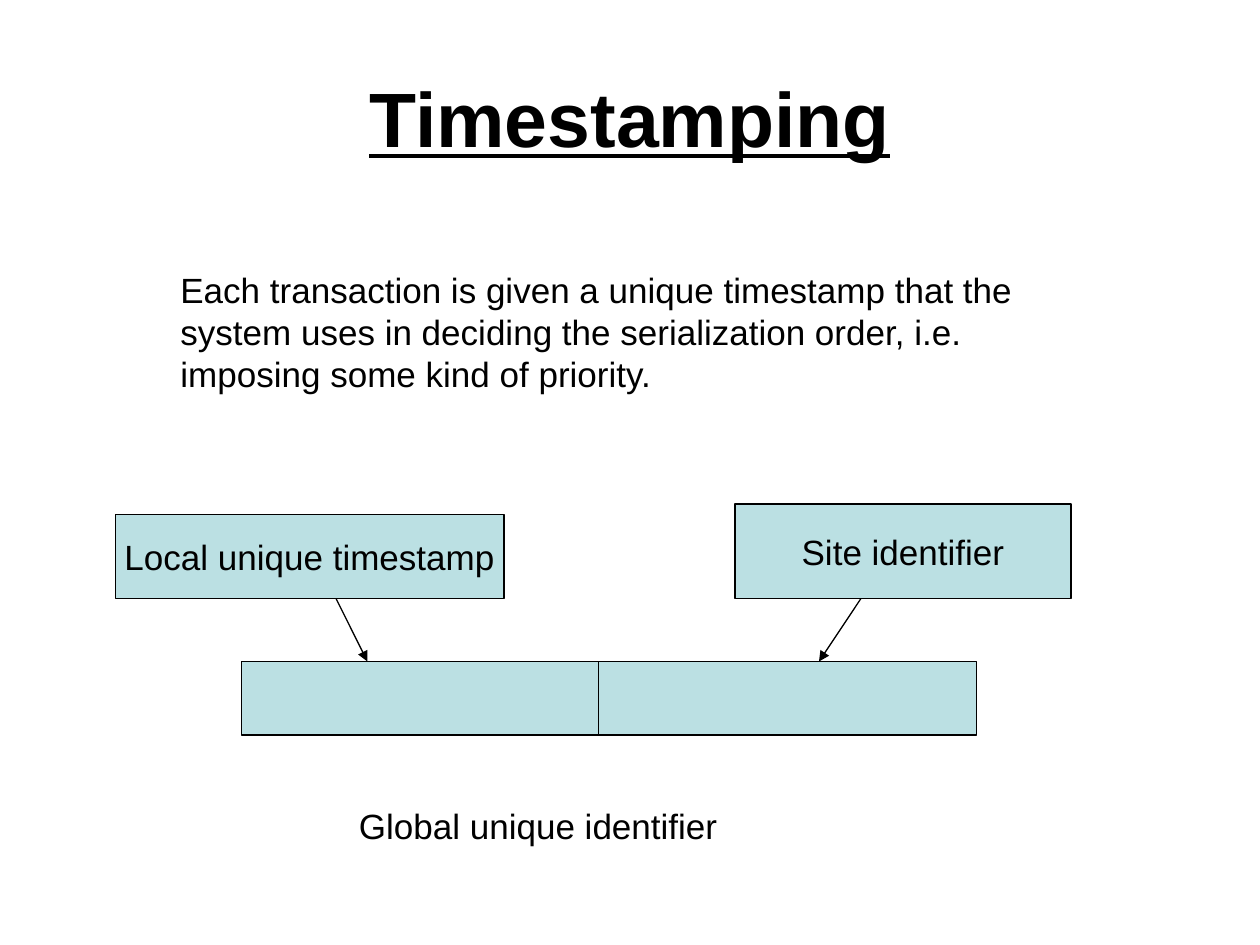
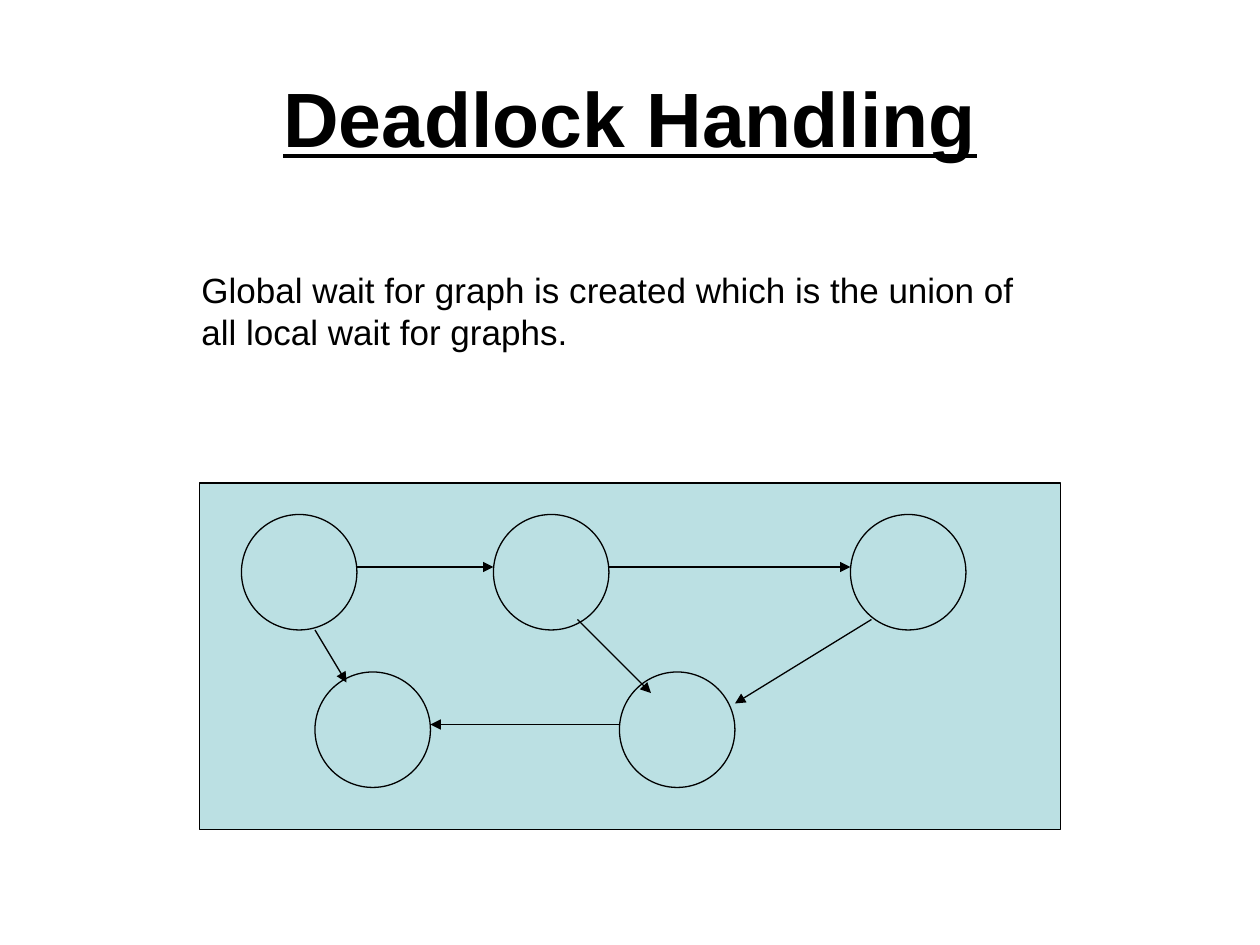
"""Build two slides on timestamping and deadlock handling."""
from dataclasses import dataclass
from typing import NamedTuple

from lxml.etree import SubElement
from pptx import Presentation
from pptx.dml.color import RGBColor
from pptx.enum.shapes import MSO_CONNECTOR as Connector, MSO_SHAPE as Preset
from pptx.enum.text import MSO_ANCHOR as Anchor, PP_ALIGN as Align
from pptx.oxml.ns import qn
from pptx.slide import Slide
from pptx.text.text import TextFrame
from pptx.util import Inches, Pt

BLACK = RGBColor(0x00, 0x00, 0x00)
PALE_TEAL = RGBColor(0xBB, 0xE0, 0xE3)
WIDTH, HEIGHT = Inches(10), Inches(7.5)
COLUMNS, ROWS = 120, 90
CELL = WIDTH // COLUMNS
LINE_WIDTH = Pt(0.75)
NODE_SIZE = 11

BODY_FONT = {"name": "Arial", "size": Pt(20)}
TITLE_FONT = {"name": "Arial", "size": Pt(44), "bold": True, "underline": True}
BODY_FRAME = {"word_wrap": True, "vertical_anchor": Anchor.TOP}
TITLE_FRAME = {"word_wrap": True, "vertical_anchor": Anchor.MIDDLE}
BOX_FRAME = {"word_wrap": False, "vertical_anchor": Anchor.MIDDLE}


class Area(NamedTuple):
    """A rectangle in grid columns and rows."""
    column: float
    row: float
    columns: float
    rows: float

    def lengths(self) -> list[int]:
        """Return left, top, width and height as slide lengths."""
        return [round(cells * CELL) for cells in self]


class Link(NamedTuple):
    """A straight line between two grid points."""
    start: tuple[int, int]
    end: tuple[int, int]
    arrow: bool = True


@dataclass(frozen=True)
class Box:
    """A filled, outlined shape with an optional label."""
    area: Area
    label: str = ""
    preset: Preset = Preset.RECTANGLE


@dataclass(frozen=True)
class Passage:
    """A piece of plain body text."""
    area: Area
    text: str


@dataclass(frozen=True)
class Page:
    """The content of one slide."""
    title: str
    passages: list[Passage]
    boxes: list[Box]
    links: list[Link]


def node(column: int, row: int) -> Box:
    """Return a graph node with its top left corner at a grid point."""
    return Box(Area(column, row, NODE_SIZE, NODE_SIZE), preset=Preset.OVAL)


TITLE_AREA = Area(6, 3.6, 108, 15)
UPPER_ROW, LOWER_ROW = 49, 64

PAGES = [
    Page(
        "Timestamping",
        [
            Passage(
                Area(16, 25, 89, 19.3),
                "Each transaction is given a unique timestamp that the system uses "
                "in deciding the serialization order, i.e. imposing some kind of priority.",
            ),
            Passage(Area(33, 76, 58, 5.25), "Global unique identifier"),
        ],
        [
            Box(Area(23, 63, 70, 7)),
            Box(Area(11, 49, 37, 8), "Local unique timestamp"),
            Box(Area(70, 48, 32, 9), "Site identifier"),
        ],
        [
            Link((57, 63), (57, 70), arrow=False),
            Link((32, 57), (35, 63)),
            Link((82, 57), (78, 63)),
        ],
    ),
    Page(
        "Deadlock Handling",
        [
            Passage(
                Area(18, 25, 80, 9.25),
                "Global wait for graph is created which is the union of all local "
                "wait for graphs.",
            ),
        ],
        [
            Box(Area(19, 46, 82, 33)),
            *(node(column, UPPER_ROW) for column in (23, 47, 81)),
            *(node(column, LOWER_ROW) for column in (30, 59)),
        ],
        [
            Link((30, 60), (33, 65)),
            Link((34, 54), (47, 54)),
            Link((55, 59), (62, 66)),
            Link((58, 54), (81, 54)),
            Link((83, 59), (70, 67)),
            Link((59, 69), (41, 69)),
        ],
    ),
]


def apply_format(target: object, values: dict) -> None:
    """Set each named attribute on the target."""
    for name, value in values.items():
        setattr(target, name, value)


def write(frame: TextFrame, text: str, frame_format: dict, font: dict, align: Align) -> None:
    """Fill a text frame with one formatted paragraph."""
    apply_format(frame, frame_format)
    paragraph = frame.paragraphs[0]
    paragraph.alignment = align
    run = paragraph.add_run()
    run.text = text
    apply_format(run.font, font)
    run.font.color.rgb = BLACK


def draw_title(slide: Slide, title: str) -> None:
    """Draw the shared slide title."""
    shape = slide.shapes.add_textbox(*TITLE_AREA.lengths())
    write(shape.text_frame, title, TITLE_FRAME, TITLE_FONT, Align.CENTER)


def draw_passage(slide: Slide, passage: Passage) -> None:
    """Draw body text."""
    shape = slide.shapes.add_textbox(*passage.area.lengths())
    write(shape.text_frame, passage.text, BODY_FRAME, BODY_FONT, Align.LEFT)


def draw_box(slide: Slide, box: Box) -> None:
    """Draw a filled shape and its label."""
    shape = slide.shapes.add_shape(box.preset, *box.area.lengths())
    shape.shadow.inherit = False
    shape.fill.solid()
    shape.fill.fore_color.rgb = PALE_TEAL
    shape.line.color.rgb = BLACK
    shape.line.width = LINE_WIDTH
    if box.label:
        write(shape.text_frame, box.label, BOX_FRAME, BODY_FONT, Align.CENTER)


def draw_link(slide: Slide, link: Link) -> None:
    """Draw a line, with an arrowhead at its end if wanted."""
    points = [cells * CELL for cells in (*link.start, *link.end)]
    connector = slide.shapes.add_connector(Connector.STRAIGHT, *points)
    connector.line.color.rgb = BLACK
    connector.line.width = LINE_WIDTH
    properties = connector._element.spPr
    if link.arrow:
        SubElement(properties.find(qn("a:ln")), qn("a:tailEnd"), type="triangle")
    SubElement(properties, qn("a:effectLst"))


def main() -> None:
    """Draw every page and save the presentation."""
    presentation = Presentation()
    apply_format(presentation, {"slide_width": WIDTH, "slide_height": HEIGHT})
    blank_layout = presentation.slide_layouts[6]
    for page in PAGES:
        slide = presentation.slides.add_slide(blank_layout)
        draw_title(slide, page.title)
        for passage in page.passages:
            draw_passage(slide, passage)
        for box in page.boxes:
            draw_box(slide, box)
        for link in page.links:
            draw_link(slide, link)
    presentation.save("out.pptx")


if __name__ == "__main__":
    main()
